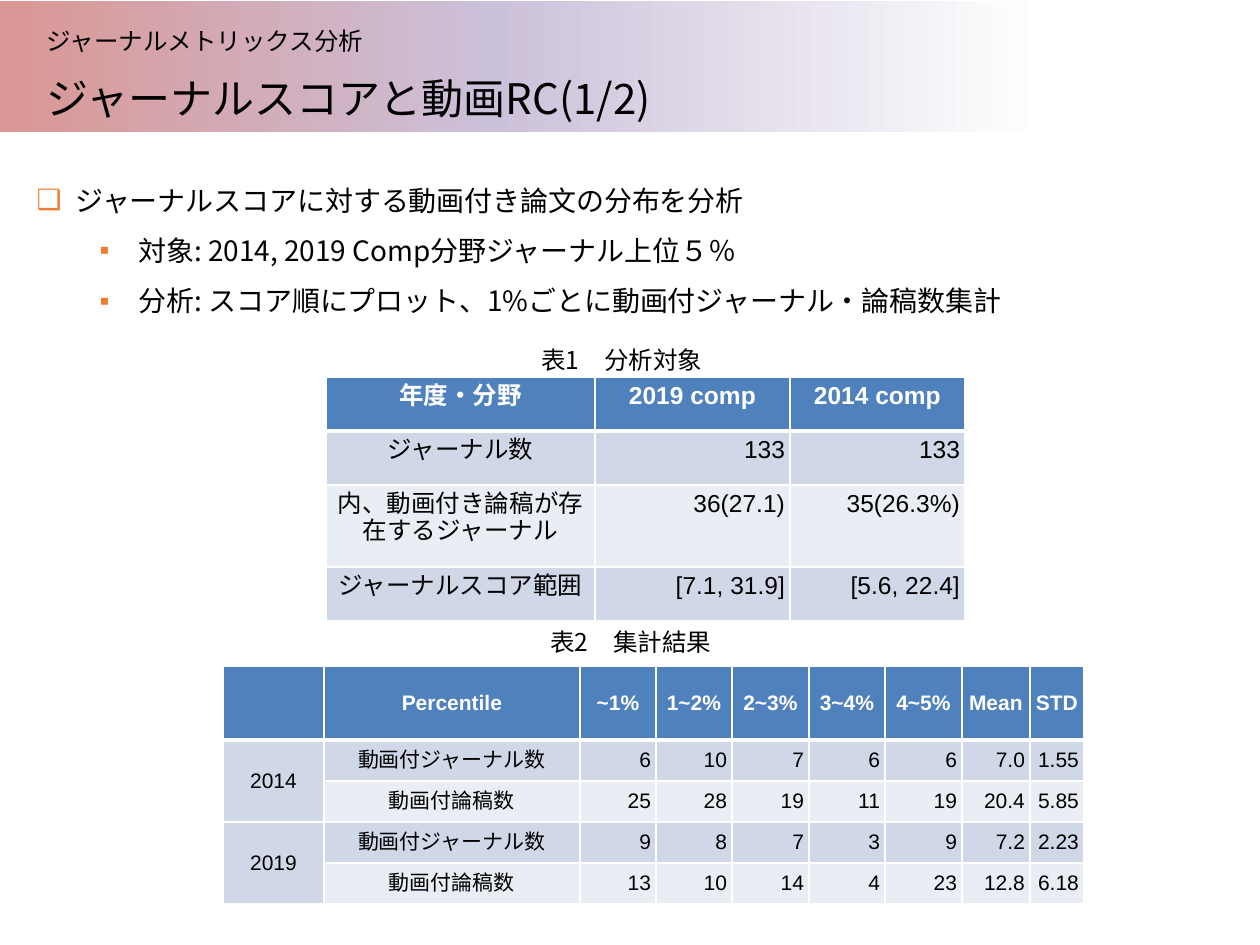
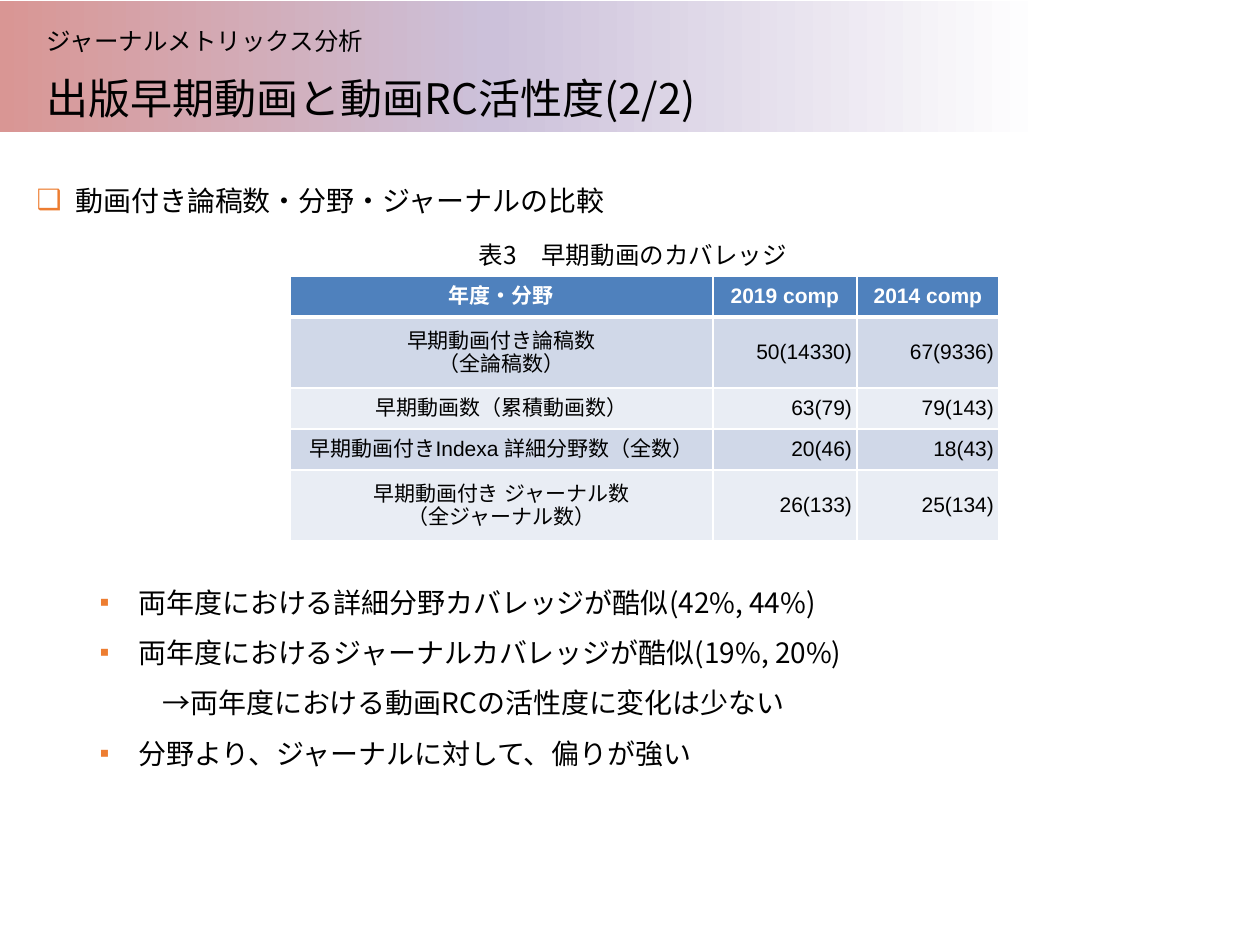
from dataclasses import dataclass

import lxml.etree
import pptx
import pptx.dml.color
import pptx.enum.shapes
import pptx.enum.text
import pptx.oxml.ns
import pptx.util

EMU_PER_PX = 914400 / 126
ALIGN = pptx.enum.text.PP_ALIGN
ANCHOR = pptx.enum.text.MSO_ANCHOR
qn = pptx.oxml.ns.qn


@dataclass(frozen=True)
class Theme:
    text: str = "000000"
    white: str = "FFFFFF"
    accent: str = "ED7D31"
    header: str = "4F81BD"
    row_bands: tuple = ("D0D8E8", "E9EDF4")
    band_stops: tuple = ((0, "D99694"), (39, "CCC1DA"), (83, "FFFFFF"), (100, "FFFFFF"))
    font: str = "Noto Sans CJK JP"
    table_font: str = "Arial"
    title_size: int = 24
    body_size: int = 16
    caption_size: int = 14
    spacing: float = 1.5


THEME = Theme()


@dataclass(frozen=True)
class Box:
    x: int
    y: int
    w: int
    h: int


@dataclass(frozen=True)
class BulletStyle:
    char: str
    left: int
    indent: int


TOPIC = BulletStyle("❑", 39, -39)
DETAIL = BulletStyle("▪", 102, -39)
CONCLUSION = BulletStyle("", 126, 0)


@dataclass(frozen=True)
class Item:
    text: str
    style: BulletStyle = DETAIL
    space_before: int = 0


@dataclass(frozen=True)
class TableBlock:
    caption: str
    caption_at: tuple[int, int]
    at: tuple[int, int]
    cols: tuple[int, ...]
    row_heights: tuple[int, ...]
    rows: tuple[tuple[str, ...], ...]
    size: int = 12
    anchor: ANCHOR = ANCHOR.MIDDLE
    label_cols: int = 1
    merged_pairs: tuple[int, ...] = ()


@dataclass(frozen=True)
class Page:
    title: str
    items: tuple[Item, ...]
    tables: tuple[TableBlock, ...]


SECTION = "ジャーナルメトリックス分析"
BAND = Box(0, 1, 1260, 131)
TITLE = Box(34, 18, 1194, 111)
SECTION_BOX = Box(34, 18, 619, 44)
BODY = Box(24, 160, 1160, 690)
CAPTION_SIZE = (570, 59)
TABLE_GAP = 201  # points left between list items for a table

PAGES = (
    Page(
        "ジャーナルスコアと動画RC(1/2)",
        (
            Item("ジャーナルスコアに対する動画付き論文の分布を分析", TOPIC),
            Item("対象: 2014, 2019 Comp分野ジャーナル上位５％"),
            Item("分析: スコア順にプロット、1%ごとに動画付ジャーナル・論稿数集計"),
        ),
        (
            TableBlock(
                "表1　分析対象", (337, 323), (326, 377), (269, 195, 175), (54, 54, 82, 54),
                (
                    ("年度・分野", "2019 comp", "2014 comp"),
                    ("ジャーナル数", "133", "133"),
                    ("内、動画付き論稿が存在するジャーナル", "36(27.1)", "35(26.3%)"),
                    ("ジャーナルスコア範囲", "[7.1, 31.9]", "[5.6, 22.4]"),
                ),
                size=14, anchor=ANCHOR.TOP,
            ),
            TableBlock(
                "表2　集計結果", (346, 605), (223, 666),
                (101, 256, 76, 76, 77, 76, 77, 68, 54), (74,) + (41,) * 4,
                (
                    ("", "Percentile", "~1%", "1~2%", "2~3%", "3~4%", "4~5%", "Mean", "STD"),
                    ("2014", "動画付ジャーナル数", "6", "10", "7", "6", "6", "7.0", "1.55"),
                    ("", "動画付論稿数", "25", "28", "19", "11", "19", "20.4", "5.85"),
                    ("2019", "動画付ジャーナル数", "9", "8", "7", "3", "9", "7.2", "2.23"),
                    ("", "動画付論稿数", "13", "10", "14", "4", "23", "12.8", "6.18"),
                ),
                label_cols=2, merged_pairs=(1, 3),
            ),
        ),
    ),
    Page(
        "出版早期動画と動画RC活性度(2/2)",
        (
            Item("動画付き論稿数・分野・ジャーナルの比較", TOPIC),
            Item("両年度における詳細分野カバレッジが酷似(42%, 44%)", space_before=TABLE_GAP),
            Item("両年度におけるジャーナルカバレッジが酷似(19%, 20%)"),
            Item("→両年度における動画RCの活性度に変化は少ない", CONCLUSION),
            Item("分野より、ジャーナルに対して、偏りが強い"),
        ),
        (
            TableBlock(
                "表3　早期動画のカバレッジ", (348, 218), (290, 276),
                (423, 144, 142), (41, 71, 41, 41, 71),
                (
                    ("年度・分野", "2019 comp", "2014 comp"),
                    ("早期動画付き論稿数\n（全論稿数）", "50(14330)", "67(9336)"),
                    ("早期動画数（累積動画数）", "63(79)", "79(143)"),
                    ("早期動画付きIndexa 詳細分野数（全数）", "20(46)", "18(43)"),
                    ("早期動画付き ジャーナル数\n（全ジャーナル数）", "26(133)", "25(134)"),
                ),
            ),
        ),
    ),
)


def px(n: int) -> int:
    return round(n * EMU_PER_PX)


def rgb(color: str) -> pptx.dml.color.RGBColor:
    return pptx.dml.color.RGBColor.from_string(color)


def place(sp, box: Box) -> None:
    sp.left, sp.top, sp.width, sp.height = map(px, (box.x, box.y, box.w, box.h))


def sub(parent, tag: str, **attrs: str):
    return lxml.etree.SubElement(parent, qn(tag), attrs)


def write(tf, text: str, *, size: int, color: str = THEME.text, font: str = THEME.font,
          bold: bool = False, align=ALIGN.LEFT, spacing: float = 1.0,
          space_before: int = 0, append: bool = False):
    """Write one paragraph per line of text and return the last one."""
    for i, line in enumerate(text.split("\n")):
        p = tf.add_paragraph() if append or i else tf.paragraphs[0]
        p.alignment = align
        p.line_spacing = spacing
        p.space_before = pptx.util.Pt(space_before)
        r = p.add_run()
        r.text = line
        r.font.size = pptx.util.Pt(size)
        r.font.bold = bold
        r.font.name = font
        r.font.color.rgb = rgb(color)
        sub(r._r.get_or_add_rPr(), "a:ea", typeface=font)
    return p


def set_bullet(p, style: BulletStyle) -> None:
    pPr = p._p.get_or_add_pPr()
    pPr.set("marL", str(px(style.left)))
    pPr.set("indent", str(px(style.indent)))
    if style.char:
        sub(sub(pPr, "a:buClr"), "a:srgbClr", val=THEME.accent)
        sub(pPr, "a:buChar", char=style.char)
    else:
        sub(pPr, "a:buNone")


def add_band(s) -> None:
    """Draw the title band and move it to the slide's layout, behind everything."""
    sp = s.shapes.add_shape(pptx.enum.shapes.MSO_SHAPE.RECTANGLE, 0, 0, 0, 0)
    place(sp, BAND)
    sp.shadow.inherit = False
    sp.line.fill.background()
    sp.fill.gradient()
    sp.fill.gradient_angle = 0
    stops = sp.element.spPr.find(".//" + qn("a:gsLst"))
    for stop in list(stops):
        stops.remove(stop)
    for pos, color in THEME.band_stops:
        sub(sub(stops, "a:gs", pos=str(pos * 1000)), "a:srgbClr", val=color)
    s.slide_layout.shapes.element.insert(2, sp.element)


def add_text(s, box: Box, text: str, *, anchor, **fmt) -> None:
    sp = s.shapes.add_textbox(0, 0, 0, 0)
    place(sp, box)
    tf = sp.text_frame
    tf.word_wrap = True
    tf.vertical_anchor = anchor
    write(tf, text, **fmt)


def set_borders(cell, row: int) -> None:
    """White 1 pt borders, 3 pt between the header and the first row."""
    tcPr = cell._tc.get_or_add_tcPr()
    thick = {("a:lnB", 0), ("a:lnT", 1)}
    for tag in ("a:lnL", "a:lnR", "a:lnT", "a:lnB"):
        width = pptx.util.Pt(3 if (tag, row) in thick else 1)
        ln = sub(tcPr, tag, w=str(int(width)))
        sub(sub(ln, "a:solidFill"), "a:srgbClr", val=THEME.white)


def add_table(s, block: TableBlock) -> None:
    add_text(s, Box(*block.caption_at, *CAPTION_SIZE), block.caption, anchor=ANCHOR.MIDDLE,
             size=THEME.caption_size, align=ALIGN.CENTER, spacing=THEME.spacing)
    frame = s.shapes.add_table(len(block.rows), len(block.cols), *map(px, block.at),
                               px(sum(block.cols)), px(sum(block.row_heights)))
    table = frame.table
    table.horz_banding = False
    for col, width in zip(table.columns, block.cols):
        col.width = px(width)
    for row, height in zip(table.rows, block.row_heights):
        row.height = px(height)
    for i, texts in enumerate(block.rows):
        header = i == 0
        for j, text in enumerate(texts):
            cell = table.cell(i, j)
            cell.margin_left = cell.margin_right = px(5)
            cell.margin_top = cell.margin_bottom = px(5)
            cell.vertical_anchor = block.anchor
            set_borders(cell, i)
            cell.fill.solid()
            cell.fill.fore_color.rgb = rgb(THEME.header if header else THEME.row_bands[(i - 1) % 2])
            if text:
                write(cell.text_frame, text, size=block.size, font=THEME.table_font, bold=header,
                      color=THEME.white if header else THEME.text,
                      align=ALIGN.CENTER if header or j < block.label_cols else ALIGN.RIGHT)
    for i in block.merged_pairs:
        table.cell(i, 0).merge(table.cell(i + 1, 0))


def add_page(prs, page: Page):
    s = prs.slides.add_slide(prs.slide_layouts[1])
    title, body = s.shapes.title, s.placeholders[1]
    for sp, box in ((title, TITLE), (body, BODY)):
        place(sp, box)
        sp.text_frame.word_wrap = True
        sp.text_frame.auto_size = pptx.enum.text.MSO_AUTO_SIZE.NONE
    title.text_frame.vertical_anchor = ANCHOR.BOTTOM
    write(title.text_frame, page.title, size=THEME.title_size)
    for i, item in enumerate(page.items):
        p = write(body.text_frame, item.text, size=THEME.body_size, append=i > 0,
                  spacing=THEME.spacing, space_before=item.space_before)
        p.level = 0 if item.style is TOPIC else 1
        set_bullet(p, item.style)
    add_text(s, SECTION_BOX, SECTION, anchor=ANCHOR.BOTTOM, size=THEME.caption_size)
    for block in page.tables:
        add_table(s, block)
    return s


def main() -> None:
    prs = pptx.Presentation()
    prs.slide_width, prs.slide_height = px(1260), px(945)
    slides = [add_page(prs, page) for page in PAGES]
    add_band(slides[0])
    prs.save("out.pptx")


if __name__ == "__main__":
    main()
